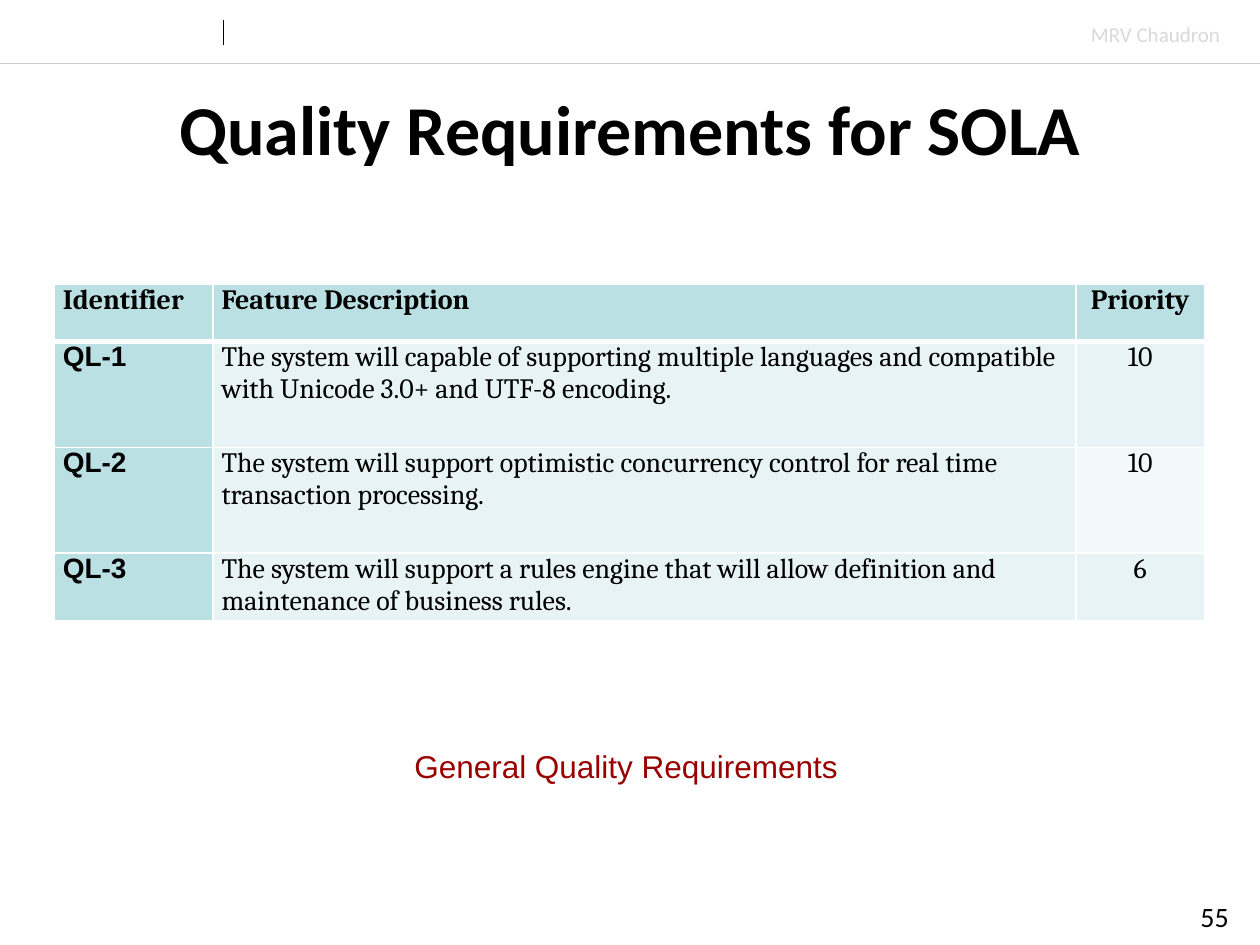
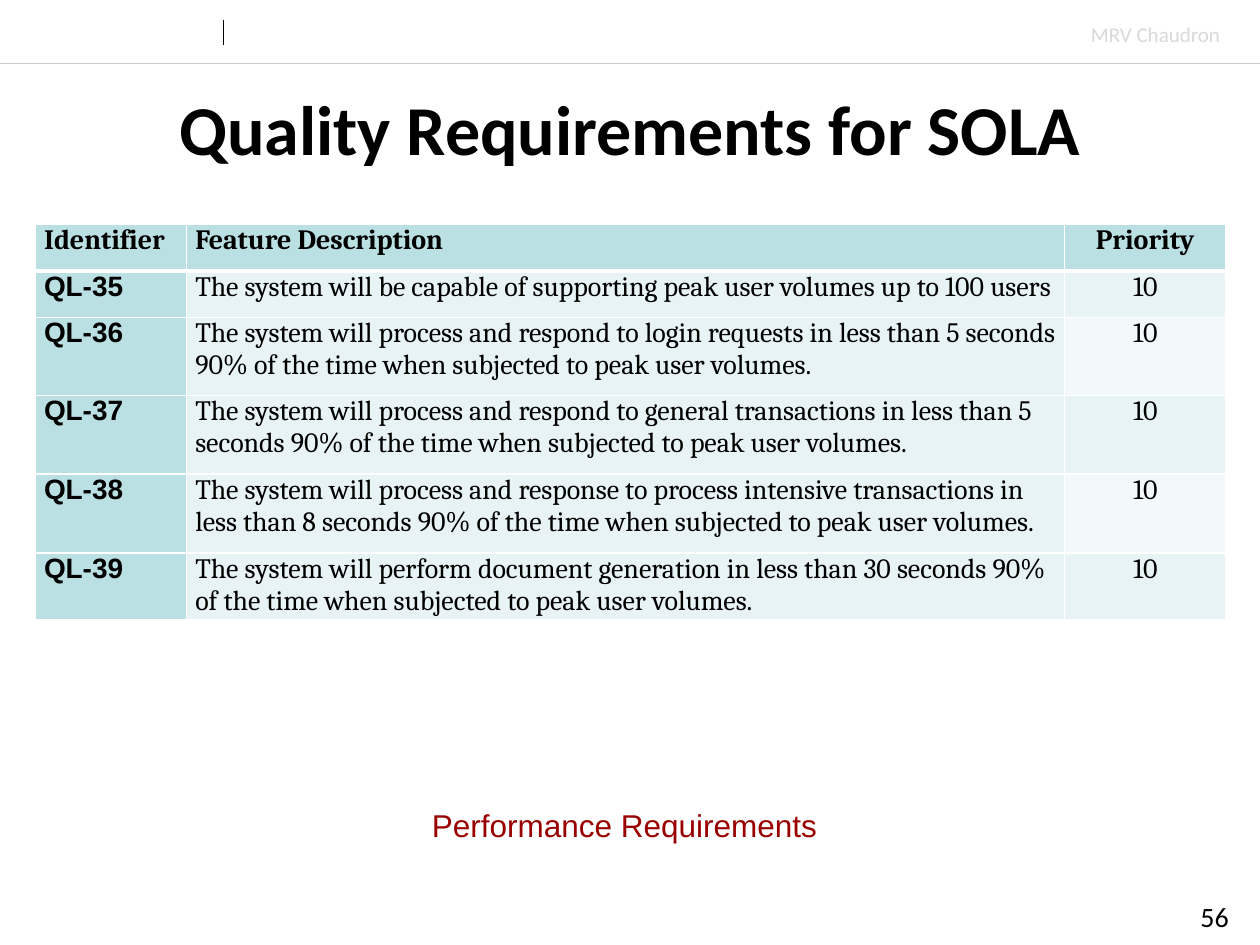
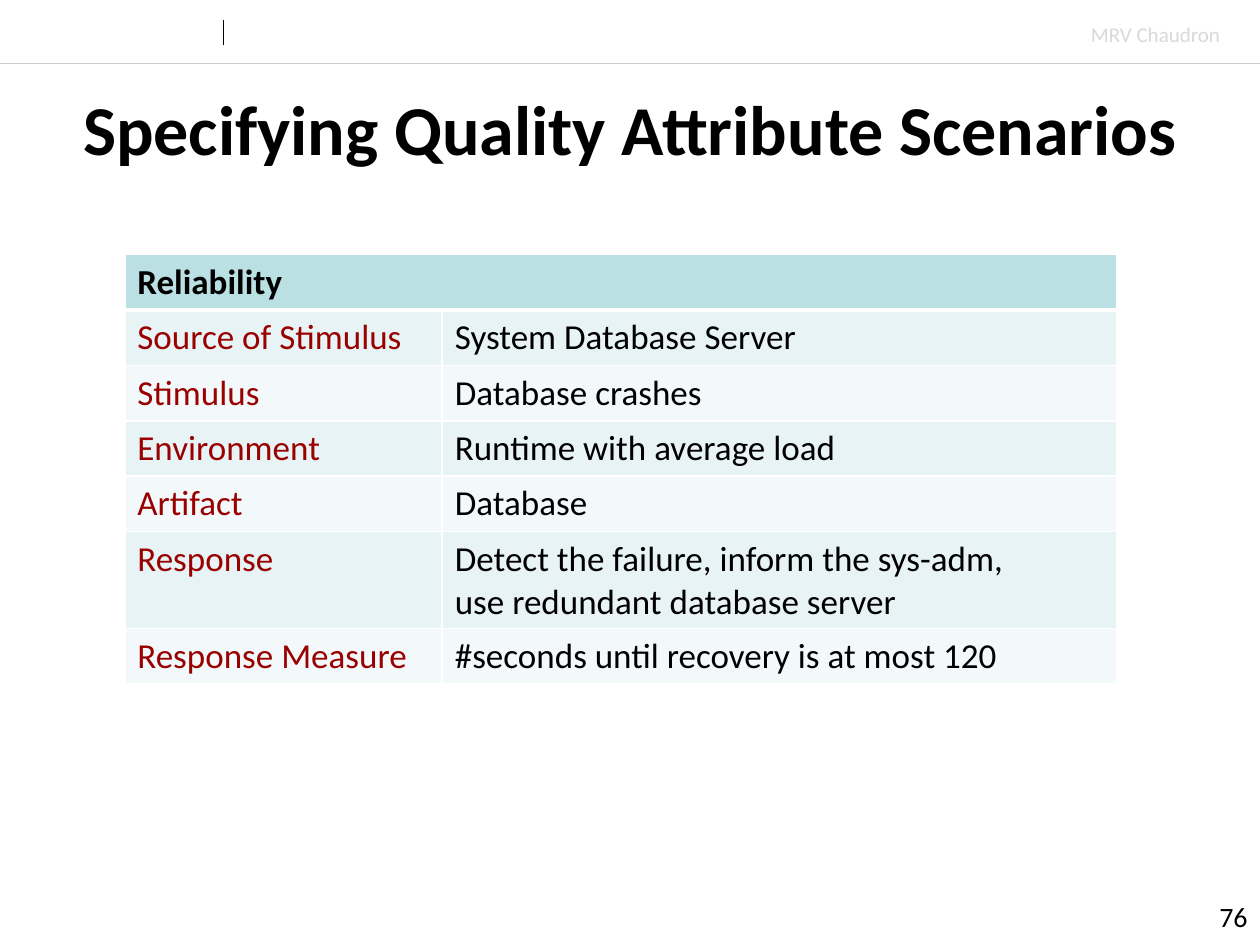
from dataclasses import dataclass

import lxml.etree
import pptx
import pptx.dml.color
import pptx.enum.shapes
import pptx.enum.text
import pptx.oxml.ns
import pptx.presentation
import pptx.shapes.autoshape
import pptx.slide
import pptx.table
import pptx.text.text
import pptx.util

RGB = pptx.dml.color.RGBColor
ALIGN = pptx.enum.text.PP_ALIGN
MIDDLE = pptx.enum.text.MSO_ANCHOR.MIDDLE
qn = pptx.oxml.ns.qn

BLACK = RGB(0x00, 0x00, 0x00)
WHITE = RGB(0xFF, 0xFF, 0xFF)
RED = RGB(0x99, 0x00, 0x00)
RULE_GRAY = RGB(0xCC, 0xCC, 0xCC)
AUTHOR_GRAY = RGB(0xD9, 0xD9, 0xD9)
TEAL = RGB(0xBB, 0xE0, 0xE3)
PALE = RGB(0xE7, 0xF3, 0xF4)
PALEST = RGB(0xF3, 0xF9, 0xFA)

# The slide is a grid of 100 columns by 75 rows of square cells.
GRID_COLUMNS, GRID_ROWS = 100, 75
CELL = pptx.util.Inches(0.1)


def grid(cells: float) -> pptx.util.Length:
    return pptx.util.Emu(round(cells * CELL))


@dataclass(frozen=True)
class Area:
    left: float
    top: float
    width: float
    height: float

    def lengths(self) -> tuple[pptx.util.Length, ...]:
        return tuple(map(grid, (self.left, self.top, self.width, self.height)))


@dataclass(frozen=True)
class Column:
    """One table column; fills alternate down the body rows."""
    width: float
    fills: tuple[RGB, RGB]
    font: str
    color: RGB = BLACK
    bold: bool = False
    align: ALIGN = ALIGN.LEFT


@dataclass(frozen=True)
class Grid:
    left: float
    top: float
    columns: tuple[Column, ...]
    heights: tuple[float, ...]
    rows: tuple[tuple[str, ...], ...]
    size: float
    font: str
    margins: tuple[float, float]


@dataclass(frozen=True)
class Caption:
    text: str
    area: Area


@dataclass(frozen=True)
class Page:
    title: str
    number: int
    number_left: float
    table: Grid
    caption: Caption | None = None


def write(para: pptx.text.text._Paragraph, text: str, *, size: float,
          font: str = "Calibri", color: RGB = BLACK, bold: bool = False,
          align: ALIGN = ALIGN.LEFT) -> None:
    para.alignment = align
    for index, line in enumerate(text.split("\n")):
        if index:
            para.add_line_break()
        span = para.add_run()
        span.text = line
        span.font.size = pptx.util.Pt(size)
        span.font.name = font
        span.font.bold = bold
        span.font.color.rgb = color


def add_text(page: pptx.slide.Slide, text: str, area: Area, *,
             wrap: bool = False, **style) -> pptx.shapes.autoshape.Shape:
    box = page.shapes.add_textbox(*area.lengths())
    box.text_frame.word_wrap = wrap
    write(box.text_frame.paragraphs[0], text, **style)
    return box


def add_line(page: pptx.slide.Slide, start: tuple[float, float],
             end: tuple[float, float], color: RGB, weight: float) -> None:
    line = page.shapes.add_connector(
        pptx.enum.shapes.MSO_CONNECTOR.STRAIGHT, *map(grid, start + end))
    line.line.color.rgb = color
    line.line.width = pptx.util.Pt(weight)
    properties = line._element.find(qn("p:spPr"))
    lxml.etree.SubElement(properties, qn("a:effectLst"))


def paint_cell(cell: pptx.table._Cell, fill: RGB, *, top: float, bottom: float) -> None:
    """Fill a cell and give it white borders; top and bottom are in points."""
    properties = cell._tc.get_or_add_tcPr()
    for side, weight in (("L", 1), ("R", 1), ("T", top), ("B", bottom)):
        border = lxml.etree.SubElement(
            properties, qn(f"a:ln{side}"), w=str(pptx.util.Pt(weight)))
        solid = lxml.etree.SubElement(border, qn("a:solidFill"))
        lxml.etree.SubElement(solid, qn("a:srgbClr"), val=str(WHITE))
    cell.fill.solid()
    cell.fill.fore_color.rgb = fill


def add_grid(page: pptx.slide.Slide, spec_grid: Grid) -> None:
    area = Area(spec_grid.left, spec_grid.top,
                sum(column.width for column in spec_grid.columns),
                sum(spec_grid.heights))
    table = page.shapes.add_table(
        len(spec_grid.rows), len(spec_grid.columns), *area.lengths()).table
    for row, height in zip(table.rows, spec_grid.heights):
        row.height = grid(height)
    side, edge = map(grid, spec_grid.margins)
    for c, column in enumerate(spec_grid.columns):
        table.columns[c].width = grid(column.width)
        for r, texts in enumerate(spec_grid.rows):
            header = r == 0
            cell = table.cell(r, c)
            cell.margin_left = cell.margin_right = side
            cell.margin_top = cell.margin_bottom = edge
            paint_cell(cell, TEAL if header else column.fills[(r - 1) % 2],
                       top=3 if r == 1 else 1, bottom=3 if header else 1)
            if c < len(texts):
                write(cell.text_frame.paragraphs[0], texts[c],
                      size=spec_grid.size,
                      font=spec_grid.font if header else column.font,
                      color=BLACK if header else column.color,
                      bold=header or column.bold, align=column.align)
    if len(spec_grid.rows[0]) == 1:
        table.cell(0, 0).merge(table.cell(0, len(spec_grid.columns) - 1))


def add_page(deck: pptx.presentation.Presentation, content: Page) -> None:
    page = deck.slides.add_slide(deck.slide_layouts.get_by_name("Title Only"))
    add_line(page, (0, 5), (GRID_COLUMNS, 5), RULE_GRAY, 0.25)
    add_line(page, (17.7, 1.6), (17.7, 3.6), BLACK, 0.5)
    add_text(page, "MRV Chaudron", Area(85.6, 1.2, 12.3, 3), size=12,
             color=AUTHOR_GRAY)

    title = page.shapes.title
    title.left, title.top, title.width, title.height = Area(
        0, 6, GRID_COLUMNS, 8.3).lengths()
    title.text_frame.auto_size = pptx.enum.text.MSO_AUTO_SIZE.NONE
    title.text_frame.vertical_anchor = MIDDLE
    write(title.text_frame.paragraphs[0], content.title, size=40, bold=True,
          align=ALIGN.CENTER)

    number = add_text(page, str(content.number),
                      Area(content.number_left, 71, 4.4, 3.5),
                      wrap=True, size=16, align=ALIGN.RIGHT)
    number.text_frame.vertical_anchor = MIDDLE
    add_grid(page, content.table)
    if content.caption:
        add_text(page, content.caption.text, content.caption.area, size=18,
                 font="Arial", color=RED)


def requirements(left: float, top: float, widths: tuple[float, float, float],
                 heights: tuple[float, ...], rows: tuple[tuple[str, ...], ...],
                 identifier_font: str = "Arial") -> Grid:
    identifier, feature, priority = widths
    columns = (
        Column(identifier, (TEAL, TEAL), identifier_font, bold=True),
        Column(feature, (PALE, PALE), "Cambria"),
        Column(priority, (PALE, PALEST), "Cambria", align=ALIGN.CENTER),
    )
    header = ("Identifier", "Feature Description", "Priority")
    return Grid(left, top, columns, heights, (header,) + rows, 16, "Cambria",
                (0.7, 0))


GENERAL = requirements(
    4.3, 22.6, (12.6, 68.5, 10.2), (4.5, 8.4, 8.4, 5.1), (
        ("QL-1", "The system will capable of supporting multiple languages and "
         "compatible with Unicode 3.0+ and UTF-8 encoding.", "10"),
        ("QL-2", "The system will support optimistic concurrency control for "
         "real time transaction processing.", "10"),
        ("QL-3", "The system will support a rules engine that will allow "
         "definition and maintenance of business rules.", "6"),
    ))

PERFORMANCE = requirements(
    2.8, 17.8, (12, 69.7, 12.8), (3.7, 3.7, 6.2, 6.25, 6.25, 5.1), (
        ("QL-35", "The system will be capable of supporting peak user volumes "
         "up to 100 users", "10"),
        ("QL-36", "The system will process and respond to login requests in "
         "less than 5 seconds 90% of the time when subjected to peak user "
         "volumes.", "10"),
        ("QL-37", "The system will process and respond to general transactions "
         "in less than 5 seconds 90% of the time when subjected to peak user "
         "volumes.", "10"),
        ("QL-38", "The system will process and response to process intensive "
         "transactions in less than 8 seconds 90% of the time when subjected "
         "to peak user volumes.", "10"),
        ("QL-39", "The system will perform document generation in less than 30 "
         "seconds 90% of the time when subjected to peak user volumes.", "10"),
    ))

RELIABILITY = Grid(
    9.9, 20.2,
    (Column(25.2, (PALE, PALEST), "Calibri", color=RED),
     Column(53.5, (PALE, PALEST), "Calibri")),
    (4.4,) * 5 + (7.7, 4.4), (
        ("Reliability",),
        ("Source of Stimulus", "System Database Server"),
        ("Stimulus", "Database crashes"),
        ("Environment", "Runtime with average load"),
        ("Artifact", "Database"),
        ("Response", "Detect the failure, inform the sys-adm,\n"
         "use redundant database server"),
        ("Response Measure", "#seconds until recovery is at most 120"),
    ), 20, "Calibri", (1, 0.5))

PAGES = (
    Page("Quality Requirements for SOLA", 55, 94.1, GENERAL,
         Caption("General Quality Requirements", Area(31.9, 58.8, 36, 4))),
    Page("Quality Requirements for SOLA", 56, 94.1, PERFORMANCE,
         Caption("Performance Requirements", Area(33.3, 63.5, 32.9, 4))),
    Page("Specifying Quality Attribute Scenarios", 76, 95.6, RELIABILITY),
)


def main() -> None:
    deck = pptx.Presentation()
    deck.slide_width = grid(GRID_COLUMNS)
    deck.slide_height = grid(GRID_ROWS)
    for content in PAGES:
        add_page(deck, content)
    deck.save("out.pptx")


if __name__ == "__main__":
    main()
